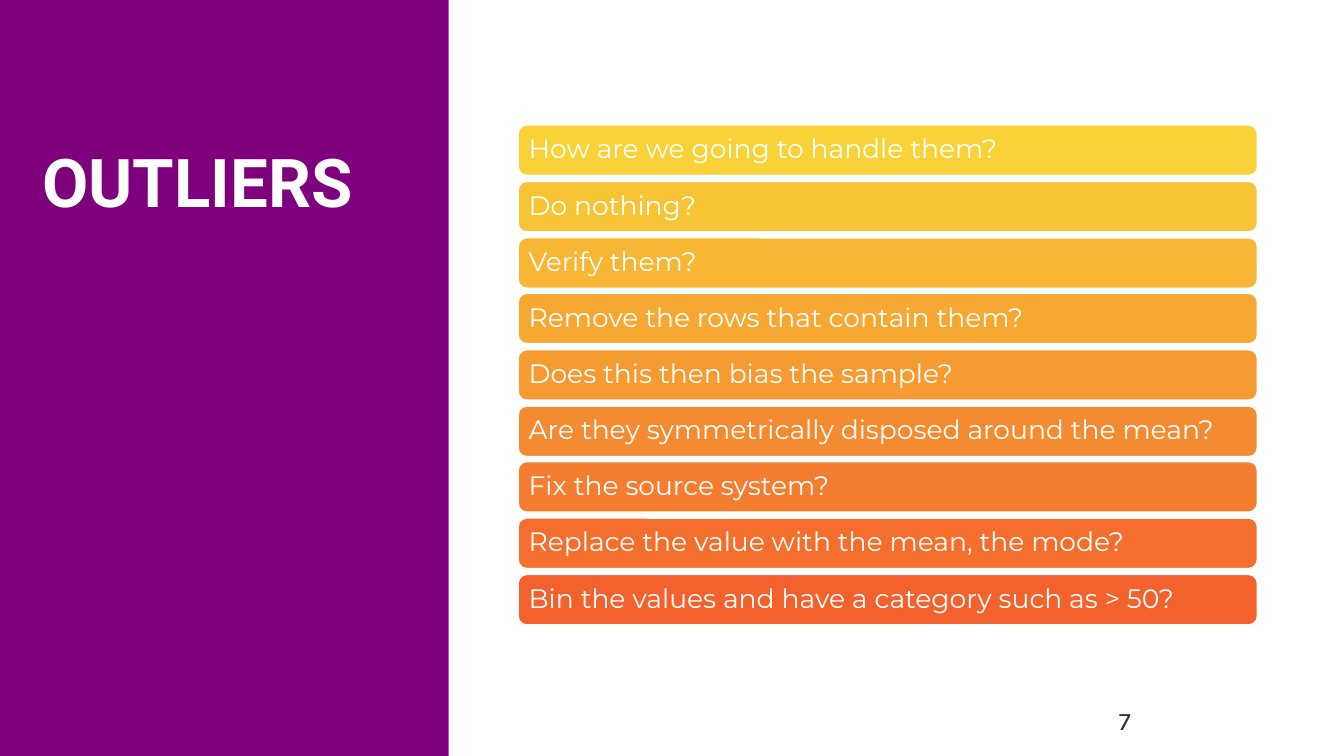
from dataclasses import dataclass

from pptx import Presentation
from pptx.dml.color import RGBColor as RGB
from pptx.enum.shapes import MSO_SHAPE as SHAPE
from pptx.enum.text import MSO_ANCHOR as ANCHOR, MSO_AUTO_SIZE as AUTOSIZE, PP_ALIGN as ALIGN
from pptx.util import Pt

PX = 9144  # EMU per px, 100 px to the inch


@dataclass(frozen=True)
class Theme:
    white: RGB = RGB(0xFF, 0xFF, 0xFF)
    panel: RGB = RGB(0x7F, 0x00, 0x7D)
    number: RGB = RGB(0x30, 0x30, 0x30)
    first_bar: RGB = RGB(0xF8, 0xD2, 0x37)
    last_bar: RGB = RGB(0xF3, 0x61, 0x2C)
    title_font: str = "Roboto"
    bar_font: str = "Montserrat"
    number_font: str = "Karla"
    title_size: int = 48
    bar_size: int = 19
    number_size: int = 18


THEME = Theme()

QUESTIONS = [
    "How are we going to handle them?",
    "Do nothing?",
    "Verify them?",
    "Remove the rows that contain them?",
    "Does this then bias the sample?",
    "Are they symmetrically disposed around the mean?",
    "Fix the source system?",
    "Replace the value with the mean, the mode?",
    "Bin the values and have a category such as > 50?",
]


def px(*lengths):
    return [n * PX for n in lengths]


def blend(start, end, t):
    return RGB(*(round(a + (b - a) * t) for a, b in zip(start, end)))


def write(tf, text, font, size, color, bold=False, inset=None, anchor=ANCHOR.TOP, spacing=None):
    tf.text = text
    tf.word_wrap = True
    tf.auto_size = AUTOSIZE.NONE
    tf.vertical_anchor = anchor
    if inset is not None:
        tf.margin_left = tf.margin_top = tf.margin_right = tf.margin_bottom = inset * PX
    p = tf.paragraphs[0]
    p.alignment = ALIGN.LEFT
    if spacing:
        p.line_spacing = spacing
    f = p.runs[0].font
    f.name, f.size, f.bold = font, Pt(size), bold
    f.color.rgb = color


def add_box(s, kind, box, fill, line=None):
    sp = s.shapes.add_shape(kind, *px(*box))
    sp.shadow.inherit = False
    sp.fill.solid()
    sp.fill.fore_color.rgb = fill
    if line is None:
        sp.line.fill.background()
    else:
        sp.line.color.rgb = line
        sp.line.width = Pt(1)
    return sp


def add_panel(s):
    panel = add_box(s, SHAPE.RECTANGLE, (0, 0, 445, 750), THEME.panel)
    # Keep the panel behind the title
    s.shapes.title._element.addprevious(panel._element)


def set_title(s, text):
    title = s.shapes.title
    title.left, title.top, title.width, title.height = px(42, 148, 377, 301)
    write(title.text_frame, text, THEME.title_font, THEME.title_size, THEME.white,
          bold=True, inset=0, spacing=0.9)


def add_bars(s, questions, top=124, last_top=570):
    steps = len(questions) - 1
    for i, question in enumerate(questions):
        t = i / steps
        y = round(top + (last_top - top) * t)
        color = blend(THEME.first_bar, THEME.last_bar, t)
        bar = add_box(s, SHAPE.ROUNDED_RECTANGLE, (514, y, 733, 50), color, THEME.white)
        write(bar.text_frame, question, THEME.bar_font, THEME.bar_size, THEME.white,
              inset=8, anchor=ANCHOR.MIDDLE, spacing=0.9)


def add_page_number(s, number):
    box = s.shapes.add_textbox(*px(1100, 695, 233, 40))
    write(box.text_frame, number, THEME.number_font, THEME.number_size, THEME.number)


def main():
    prs = Presentation()
    prs.slide_width, prs.slide_height = px(1333, 750)
    s = prs.slides.add_slide(prs.slide_layouts[5])  # title only

    # Left panel with the title
    add_panel(s)
    set_title(s, "OUTLIERS")

    # Stack of questions, yellow to orange
    add_bars(s, QUESTIONS)

    add_page_number(s, "7")
    prs.save("out.pptx")


if __name__ == "__main__":
    main()
